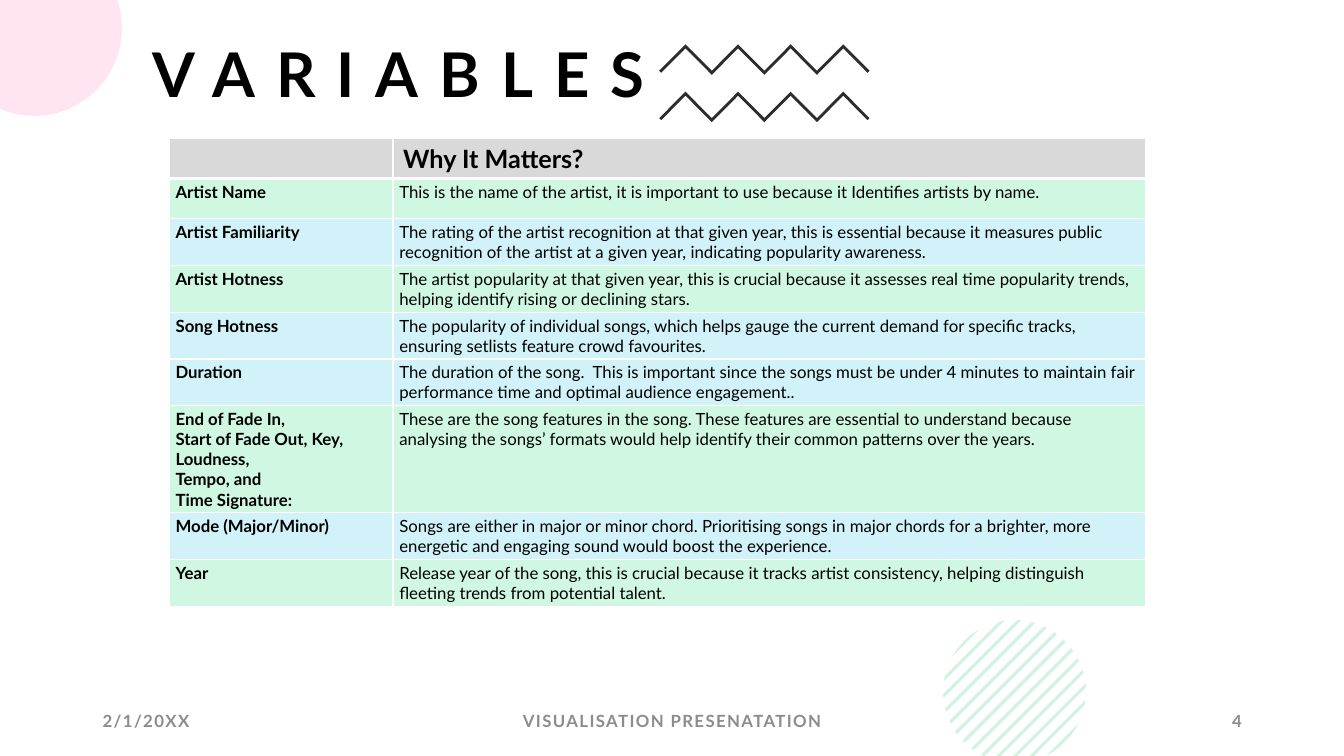
"""Build the Variables slide: a table of song variables with playful corner art."""
import math
from dataclasses import dataclass

import lxml.etree
import pptx
import pptx.dml.color
import pptx.enum.text
import pptx.oxml.ns
import pptx.util

COLUMNS, ROWS = 160, 90
UNIT = 76200


@dataclass(frozen=True)
class Theme:
    font: str = "Lato"
    ink: str = "000000"
    muted: str = "8C8C8C"
    zigzag: str = "2D2D2D"
    stripe: str = "21C46B"
    corner: str = "FF80BD"
    header: str = "D9D9D9"
    green: str = "CFF7E1"
    blue: str = "D0F2F8"
    border: str = "FFFFFF"
    title_size: int = 44
    header_size: int = 18
    body_size: int = 12


THEME = Theme()
VARIABLES = [
    (["Artist Name"], THEME.green,
     "This is the name of the artist, it is important to use because it Identifies artists by name."),
    (["Artist Familiarity"], THEME.blue,
     "The rating of the artist recognition at that given year, this is essential because it measures "
     "public recognition of the artist at a given year, indicating popularity awareness."),
    (["Artist Hotness"], THEME.green,
     "The artist popularity at that given year, this is crucial because it assesses real time "
     "popularity trends, helping identify rising or declining stars."),
    (["Song Hotness"], THEME.blue,
     "The popularity of individual songs, which helps gauge the current demand for specific tracks, "
     "ensuring setlists feature crowd favourites."),
    (["Duration"], THEME.blue,
     "The duration of the song.  This is important since the songs must be under 4 minutes to "
     "maintain fair performance time and optimal audience engagement.."),
    (["End of Fade In,", "Start of Fade Out, Key,", "Loudness,", "Tempo, and", "Time Signature:"],
     THEME.green,
     "These are the song features in the song. These features are essential to understand because "
     "analysing the songs’ formats would help identify their common patterns over the years."),
    (["Mode (Major/Minor)"], THEME.blue,
     "Songs are either in major or minor chord. Prioritising songs in major chords for a brighter, "
     "more energetic and engaging sound would boost the experience."),
    (["Year"], THEME.green,
     "Release year of the song, this is crucial because it tracks artist consistency, helping "
     "distinguish fleeting trends from potential talent."),
]


def grid(value):
    return pptx.util.Emu(round(value * UNIT))


def color(value):
    return pptx.dml.color.RGBColor.from_string(value)


def write_run(paragraph, text, size, ink=THEME.ink, bold=True, spacing=0):
    run = paragraph.add_run()
    run.text = text
    run.font.name = THEME.font
    run.font.size = pptx.util.Pt(size)
    run.font.bold = bold
    run.font.color.rgb = color(ink)
    if spacing:
        run.font._element.set("spc", str(spacing * 100))


def add_outline(shapes, points, fill, opacity=100):
    start, *rest = [(grid(x), grid(y)) for x, y in points]
    builder = shapes.build_freeform(*start)
    builder.add_line_segments(rest)
    shape = builder.convert_to_shape()
    shape.shadow.inherit = False
    shape.line.fill.background()
    shape.fill.solid()
    shape.fill.fore_color.rgb = color(fill)
    if opacity < 100:
        tone = shape._element.spPr.find(".//" + pptx.oxml.ns.qn("a:srgbClr"))
        alpha = lxml.etree.SubElement(tone, pptx.oxml.ns.qn("a:alpha"))
        alpha.set("val", str(opacity * 1000))


def add_zigzag(shapes, top, left=78.48, pitch=3.13, rise=3.15, thickness=0.48):
    upper = [(left + pitch * index, top + rise * (index % 2 == 0)) for index in range(9)]
    lower = [(x, y + thickness) for x, y in upper[1:-1]]
    tip = thickness / 2
    right_tip = (upper[-1][0] - tip, upper[-1][1] + tip)
    left_tip = (left + tip, upper[0][1] + tip)
    add_outline(shapes, upper + [right_tip] + lower[::-1] + [left_tip], THEME.zigzag)


def add_striped_disc(shapes, center_x=120.78, center_y=82.32, radius=8.5):
    def chord_end(offset, side):
        distance = max(-radius, min(radius, offset / math.sqrt(2)))
        half = side * math.sqrt(radius ** 2 - distance ** 2)
        x = center_x + (distance + half) / math.sqrt(2)
        y = center_y + (distance - half) / math.sqrt(2)
        overflow = max(0, y - ROWS)
        return x + overflow, y - overflow

    step, width, samples = 1.96, 0.54, 6
    for index in range(13):
        start = -12.12 + step * index
        offsets = [start + width * sample / samples for sample in range(samples + 1)]
        upper = [chord_end(offset, 1) for offset in offsets]
        lower = [chord_end(offset, -1) for offset in reversed(offsets)]
        add_outline(shapes, upper + lower, THEME.stripe, 20)


def add_corner_disc(shapes, center_x=4.08, center_y=3.36, radius=10.44):
    start = math.asin(-center_y / radius)
    end = math.acos(-center_x / radius)
    steps = 60
    angles = [start + (end - start) * index / steps for index in range(steps + 1)]
    arc = [(center_x + radius * math.cos(angle), center_y + radius * math.sin(angle))
           for angle in angles]
    add_outline(shapes, [(0, 0)] + arc, THEME.corner, 20)


def add_title(slide, text):
    title = slide.shapes.title
    title.left, title.top, title.width, title.height = map(grid, (16.92, 4.68, 61.32, 18.72))
    frame = title.text_frame
    frame.auto_size = pptx.enum.text.MSO_AUTO_SIZE.NONE
    frame.vertical_anchor = pptx.enum.text.MSO_ANCHOR.TOP
    frame.margin_right = 0
    paragraph = frame.paragraphs[0]
    paragraph.alignment = pptx.enum.text.PP_ALIGN.LEFT
    paragraph.line_spacing = 0.9
    write_run(paragraph, text, THEME.title_size, spacing=15)


def add_footer(slide, text, left, width, alignment):
    box = slide.shapes.add_textbox(*map(grid, (left, 83.4, width, 4.8)))
    box.text_frame.word_wrap = True
    box.text_frame.vertical_anchor = pptx.enum.text.MSO_ANCHOR.MIDDLE
    paragraph = box.text_frame.paragraphs[0]
    paragraph.alignment = alignment
    write_run(paragraph, text, THEME.body_size, THEME.muted, spacing=1)


def style_cell(cell, fill, bottom=1, top=1):
    properties = cell._tc.get_or_add_tcPr()
    for side, points in (("L", 1), ("R", 1), ("T", top), ("B", bottom)):
        line = lxml.etree.SubElement(properties, pptx.oxml.ns.qn(f"a:ln{side}"))
        line.set("w", str(pptx.util.Pt(points)))
        solid = lxml.etree.SubElement(line, pptx.oxml.ns.qn("a:solidFill"))
        lxml.etree.SubElement(solid, pptx.oxml.ns.qn("a:srgbClr")).set("val", THEME.border)
    cell.fill.solid()
    cell.fill.fore_color.rgb = color(fill)


def fill_cell(cell, lines, bold):
    cell.margin_left = cell.margin_right = grid(0.75)
    cell.margin_top = cell.margin_bottom = grid(0.38)
    for index, text in enumerate(lines):
        frame = cell.text_frame
        paragraph = frame.add_paragraph() if index else frame.paragraphs[0]
        write_run(paragraph, text, THEME.body_size, bold=bold)


def add_variables_table(slide):
    widths = (26.64, 89.64)
    heights = [4.8] + [11.88 if len(names) > 1 else 4.8 for names, _, _ in VARIABLES]
    frame = slide.shapes.add_table(len(heights), len(widths), grid(20.16), grid(16.44),
                                   grid(sum(widths)), grid(sum(heights)))
    table = frame.table
    for column, width in zip(table.columns, widths):
        column.width = grid(width)
    for row, height in zip(table.rows, heights):
        row.height = grid(height)
    for cell in table.rows[0].cells:
        style_cell(cell, THEME.header, bottom=3)
    heading = table.cell(0, 1)
    heading.vertical_anchor = pptx.enum.text.MSO_ANCHOR.MIDDLE
    write_run(heading.text_frame.paragraphs[0], "Why It Matters?", THEME.header_size)
    for index, (names, fill, reason) in enumerate(VARIABLES, 1):
        for column, lines in enumerate((names, [reason])):
            cell = table.cell(index, column)
            style_cell(cell, fill, top=3 if index == 1 else 1)
            fill_cell(cell, lines, bold=column == 0)


def main():
    presentation = pptx.Presentation()
    presentation.slide_width, presentation.slide_height = grid(COLUMNS), grid(ROWS)
    slide = presentation.slides.add_slide(presentation.slide_layouts[5])
    zigzags = slide.shapes.add_group_shape()
    for top in (5.28, 10.92):
        add_zigzag(zigzags.shapes, top)
    add_striped_disc(slide.shapes.add_group_shape().shapes)
    add_corner_disc(slide.shapes)
    add_title(slide, "VARIABLES")
    align = pptx.enum.text.PP_ALIGN
    add_footer(slide, "2/1/20XX", 11.04, 36, align.LEFT)
    add_footer(slide, "VISUALISATION PRESENATATION", 53.04, 54, align.CENTER)
    add_footer(slide, "4", 113.04, 36, align.RIGHT)
    add_variables_table(slide)
    presentation.save("out.pptx")


if __name__ == "__main__":
    main()
